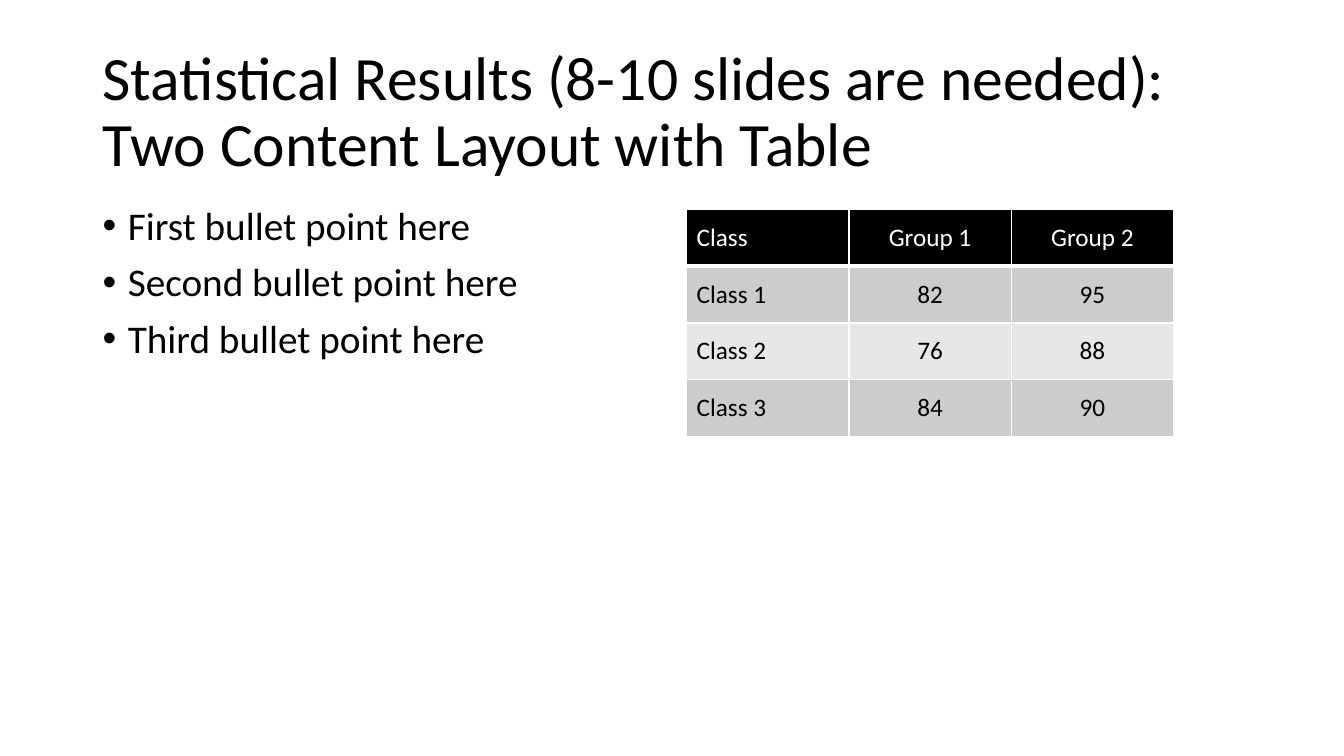
from lxml import etree
from pptx import Presentation
from pptx.dml.color import RGBColor
from pptx.enum.text import MSO_ANCHOR, PP_ALIGN
from pptx.oxml.ns import qn
from pptx.util import Inches, Pt

MIDDLE, TOP = MSO_ANCHOR.MIDDLE, MSO_ANCHOR.TOP
LEFT, CENTER = PP_ALIGN.LEFT, PP_ALIGN.CENTER
FONT = "Calibri"
COLORS = {"black": "000000", "white": "FFFFFF", "dark_band": "CCCCCC", "light_band": "E7E7E7"}

TITLE = "Statistical Results (8-10 slides are needed): Two Content Layout with Table"
BULLETS = ["First bullet point here", "Second bullet point here", "Third bullet point here"]
SCORES = [
    ["Class", "Group 1", "Group 2"],
    ["Class 1", "82", "95"],
    ["Class 2", "76", "88"],
    ["Class 3", "84", "90"],
]


def rgb(name):
    return RGBColor.from_string(COLORS[name])


def style_runs(p, size, color="black"):
    for r in p.runs:
        r.font.name = FONT
        r.font.size = Pt(size)
        r.font.bold = False
        r.font.color.rgb = rgb(color)


def add_bullet(p):
    pPr = p._p.get_or_add_pPr()
    pPr.set("marL", str(Inches(0.25)))
    pPr.set("indent", str(Inches(-0.25)))
    etree.SubElement(pPr, qn("a:buFont"), typeface="Arial")
    etree.SubElement(pPr, qn("a:buChar"), char="•")


def add_text(s, box, lines, size, anchor=TOP, bullets=False):
    tf = s.shapes.add_textbox(*map(Inches, box)).text_frame
    tf.word_wrap = True
    tf.vertical_anchor = anchor
    tf.text = "\n".join(lines)
    for i, p in enumerate(tf.paragraphs):
        if bullets:
            add_bullet(p)
        p.line_spacing = 0.9
        if i:
            p.space_before = Pt(10)
        style_runs(p, size)


def add_borders(cell, bottom):
    """Draw white borders, with the bottom one in the given points."""
    tcPr = cell._tc.get_or_add_tcPr()
    for side, width in (("L", 1), ("R", 1), ("T", 1), ("B", bottom)):
        ln = etree.SubElement(tcPr, qn(f"a:ln{side}"), w=str(Pt(width)))
        fill = etree.SubElement(ln, qn("a:solidFill"))
        etree.SubElement(fill, qn("a:srgbClr"), val=COLORS["white"])


def add_score_table(s, box, rows):
    table = s.shapes.add_table(len(rows), len(rows[0]), *map(Inches, box)).table
    for i, row in enumerate(rows):
        header = i == 0
        band = "black" if header else "dark_band" if i % 2 else "light_band"
        for j, text in enumerate(row):
            cell = table.cell(i, j)
            add_borders(cell, 3 if header else 1)
            cell.fill.solid()
            cell.fill.fore_color.rgb = rgb(band)
            cell.vertical_anchor = MIDDLE
            cell.text_frame.text = text
            p = cell.text_frame.paragraphs[0]
            p.alignment = CENTER if j else LEFT
            style_runs(p, 18, "white" if header else "black")


def main():
    prs = Presentation()
    prs.slide_width, prs.slide_height = Inches(13.33), Inches(7.5)
    s = prs.slides.add_slide(prs.slide_layouts[6])
    add_text(s, (0.92, 0.4, 11.5, 1.45), [TITLE], 44, anchor=MIDDLE)
    add_text(s, (0.92, 2, 5.67, 4.76), BULLETS, 28, bullets=True)
    add_score_table(s, (6.81, 2.08, 4.83, 2.25), SCORES)
    prs.save("out.pptx")


if __name__ == "__main__":
    main()
